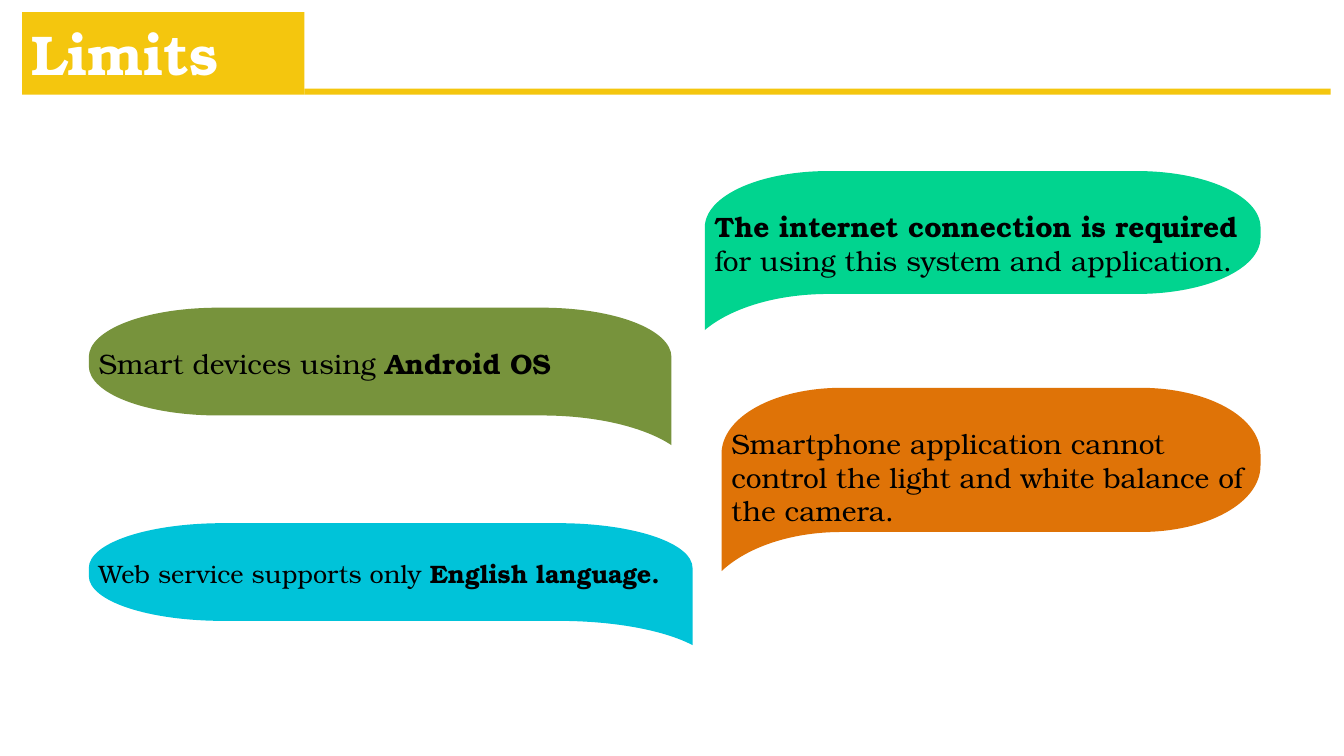
from pptx import Presentation
from pptx.dml.color import RGBColor
from pptx.enum.shapes import MSO_SHAPE
from pptx.enum.text import MSO_ANCHOR, PP_ALIGN
from pptx.oxml.ns import qn
from pptx.util import Pt

FONT = "TeX Gyre Bonum"
YELLOW = RGBColor(0xF4, 0xC6, 0x0E)
CYAN = RGBColor(0x00, 0xC3, 0xD9)
OLIVE = RGBColor(0x77, 0x93, 0x3C)
ORANGE = RGBColor(0xDF, 0x73, 0x07)
GREEN = RGBColor(0x01, 0xD4, 0x8F)
WHITE = RGBColor(0xFF, 0xFF, 0xFF)
BLACK = RGBColor(0x00, 0x00, 0x00)

BUBBLES = [
    dict(left=63.4, top=373.7, width=431.3, height=87.1, body=69.8,
         tail="right", color=CYAN, size=18,
         spans=[("Web service supports only ", False), ("English language.", True)]),
    dict(left=63.4, top=219.8, width=416.2, height=98.2, body=77,
         tail="right", color=OLIVE, size=20,
         spans=[("Smart devices using ", False), ("Android OS", True)]),
    dict(left=515.4, top=277, width=385, height=131, body=103,
         tail="left", color=ORANGE, size=20,
         spans=[("Smartphone application cannot control the light and white "
                 "balance of the camera.", False)]),
    dict(left=503.4, top=122.2, width=397, height=113.6, body=87.8,
         tail="left", color=GREEN, size=20,
         spans=[("The internet connection is required ", True),
                ("for using this system and application.", False)]),
]


def apply_format(target, values):
    for name, value in values.items():
        setattr(target, name, value)


def paint(shape, color):
    shape.shadow.inherit = False
    shape.fill.solid()
    shape.fill.fore_color.rgb = color
    shape.line.fill.background()


def write_text(shape, spans, size, color, frame_format):
    frame = shape.text_frame
    apply_format(frame, dict(word_wrap=True, **frame_format))
    para = frame.paragraphs[0]
    para.alignment = PP_ALIGN.LEFT
    for text, bold in spans:
        span = para.add_run()
        span.text = text
        apply_format(span.font, dict(name=FONT, size=Pt(size), bold=bold))
        span.font.color.rgb = color


def add_bar(page, left, top, width, height):
    bar = page.shapes.add_shape(
        MSO_SHAPE.RECTANGLE, Pt(left), Pt(top), Pt(width), Pt(height))
    paint(bar, YELLOW)
    return bar


def bubble_curves(width, height, body):
    rx, ry = 0.223 * width, 0.46 * body
    near_x, near_y = 0.44 * rx, 0.44 * ry
    drop = height - body
    return [
        [(0.2 * rx, height - 0.58 * drop), (0.56 * rx, body), (rx, body)],
        [(width - rx, body)] * 3,
        [(width - near_x, body), (width, body - near_y), (width, body - ry)],
        [(width, ry)] * 3,
        [(width, near_y), (width - near_x, 0), (width - rx, 0)],
        [(rx, 0)] * 3,
        [(near_x, 0), (0, near_y), (0, ry)],
    ]


def bend_segments(shape, count):
    segments = list(shape._element.iter(qn("a:lnTo")))
    for index in range(0, 3 * count, 3):
        first, *others = segments[index:index + 3]
        first.tag = qn("a:cubicBezTo")
        for other in others:
            first.append(other[0])
            other.getparent().remove(other)


def add_bubble(page, left, top, width, height, body, tail, color, size, spans):
    def place(x, y):
        return Pt(left + (x if tail == "left" else width - x)), Pt(top + y)

    curves = bubble_curves(width, height, body)
    tip = place(0, height)
    builder = page.shapes.build_freeform(*tip)
    builder.add_line_segments(
        [place(*point) for points in curves for point in points] + [tip], close=True)
    bubble = builder.convert_to_shape()
    bend_segments(bubble, len(curves))
    paint(bubble, color)
    write_text(bubble, spans, size, BLACK, dict(
        vertical_anchor=MSO_ANCHOR.TOP, margin_top=Pt(3.6 + 1.21 * size)))


def main():
    deck = Presentation()
    apply_format(deck, dict(slide_width=Pt(960), slide_height=Pt(540)))
    page = deck.slides.add_slide(deck.slide_layouts[6])
    title = add_bar(page, 15.8, 8.6, 201.6, 59)
    write_text(title, [("Limits", True)], 40, WHITE,
               dict(vertical_anchor=MSO_ANCHOR.MIDDLE))
    add_bar(page, 217.4, 63.3, 733, 4.3)
    for bubble in BUBBLES:
        add_bubble(page, **bubble)
    deck.save("out.pptx")


if __name__ == "__main__":
    main()
